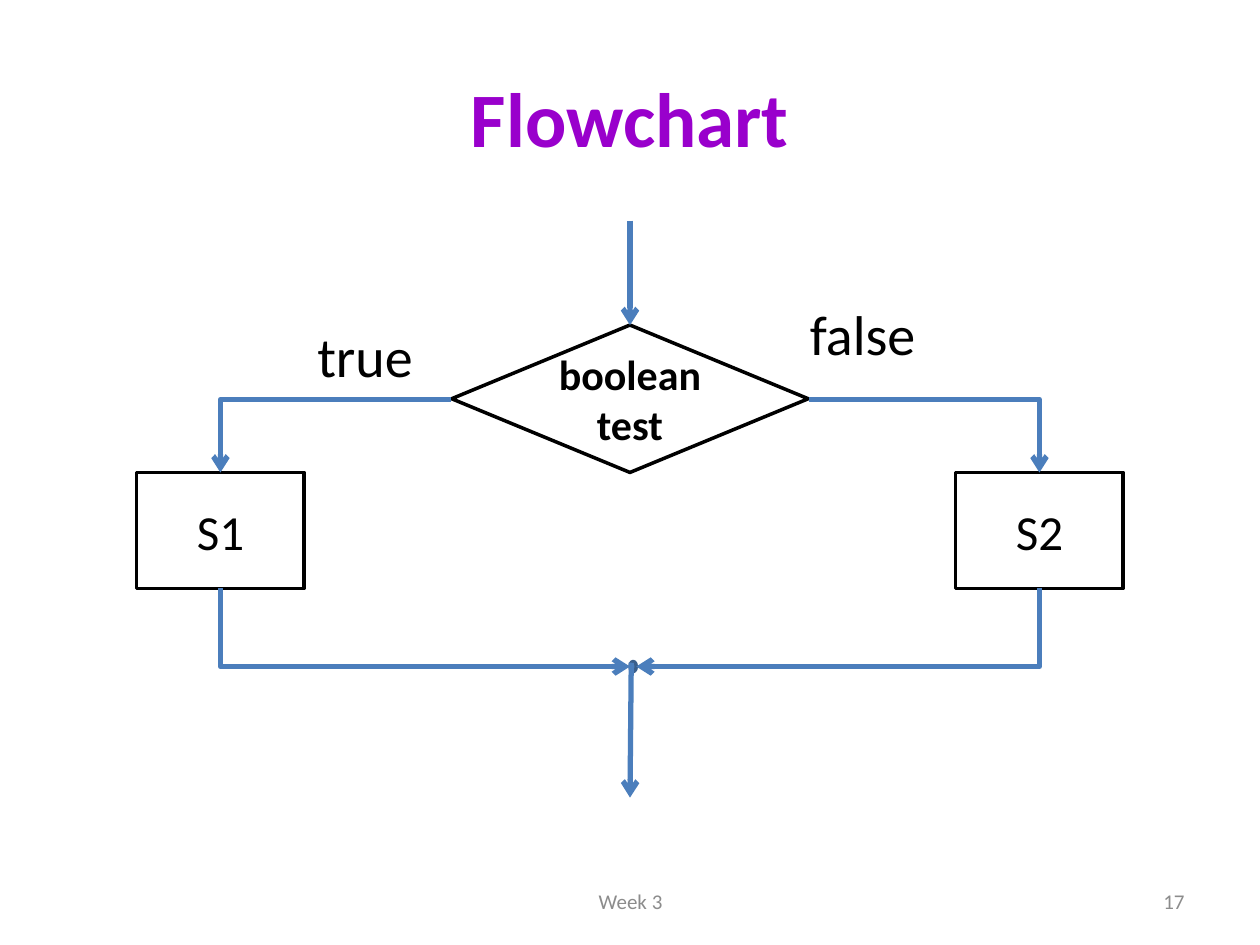
from pptx import Presentation
from pptx.dml.color import RGBColor
from pptx.enum.shapes import MSO_CONNECTOR, MSO_SHAPE
from pptx.enum.text import MSO_ANCHOR, PP_ALIGN
from pptx.oxml.ns import qn
from pptx.util import Inches, Pt
from lxml import etree

LEFT, CENTER, RIGHT = PP_ALIGN.LEFT, PP_ALIGN.CENTER, PP_ALIGN.RIGHT
TOP, MIDDLE = MSO_ANCHOR.TOP, MSO_ANCHOR.MIDDLE
STRAIGHT, ELBOW = MSO_CONNECTOR.STRAIGHT, MSO_CONNECTOR.ELBOW
TEST, STEP, DOT = (MSO_SHAPE.FLOWCHART_DECISION,
                   MSO_SHAPE.FLOWCHART_PROCESS, MSO_SHAPE.OVAL)

theme = {
    "font": "Calibri",
    "title": "9900CC", "ink": "000000", "paper": "FFFFFF", "gray": "8C8C8C",
    "flow": "4B7EBC", "dot": "4F81BD", "rim": "3A5F8C",
    "head": 44, "test": 24, "step": 28, "label": 32, "foot": 12,
}


def write(shape, text, size, color, align=CENTER, anchor=MIDDLE, bold=False):
    frame = shape.text_frame
    frame.text = text
    frame.word_wrap = True
    frame.vertical_anchor = anchor
    para = frame.paragraphs[0]
    para.alignment = align
    font = para.font
    font.name, font.size, font.bold = theme["font"], Pt(theme[size]), bold
    font.color.rgb = RGBColor.from_string(theme[color])


def link(kind, start, end, tip="tailEnd"):
    line = slide.shapes.add_connector(kind, *map(Inches, start + end))
    line.line.color.rgb = RGBColor.from_string(theme["flow"])
    line.line.width = Pt(3)
    props = line._element.spPr
    if kind == ELBOW:
        props.find(qn("a:prstGeom")).set("prst", "bentConnector2")
    etree.SubElement(props.find(qn("a:ln")), qn("a:" + tip), type="arrow")
    etree.SubElement(props, qn("a:effectLst"))


deck = Presentation()
deck.slide_width, deck.slide_height = Inches(10), Inches(7.5)
slide = deck.slides.add_slide(deck.slide_layouts[5])

# Title
title = slide.shapes.title
title.left, title.top, title.width, title.height = map(
    Inches, (0.5, 0.3, 9, 1.25))
write(title, "Flowchart", "head", "title", bold=True)

# Decision, steps and the point where the branches meet
mid, side = 5, 3.25
nodes = [
    (TEST, mid, 2.58, 2.83, 1.17, "boolean test", "test"),
    (STEP, mid - side, 3.75, 1.33, 0.92, "S1", "step"),
    (STEP, mid + side, 3.75, 1.33, 0.92, "S2", "step"),
    (DOT, mid + 0.025, 5.25, 0.05, 0.08, "", ""),
]
for kind, x, y, w, h, text, size in nodes:
    node = slide.shapes.add_shape(
        kind, *map(Inches, (x - w / 2, y, w, h)))
    node.shadow.inherit = False
    fill, edge = ("paper", "ink") if text else ("dot", "rim")
    node.fill.solid()
    node.fill.fore_color.rgb = RGBColor.from_string(theme[fill])
    node.line.color.rgb = RGBColor.from_string(theme[edge])
    node.line.width = Pt(2)
    if text:
        write(node, text, size, "ink", bold=kind == TEST)

# Arrows in, along both branches, and out
link(STRAIGHT, (mid, 1.75), (mid, 2.58))
for sign, meet in ((1, 5.05), (-1, 5)):
    x = mid + sign * side
    link(ELBOW, (mid + sign * 1.42, 3.17), (x, 3.75))
    link(ELBOW, (meet, 5.29), (x, 4.67), "headEnd")
link(STRAIGHT, (5.01, 5.26), (mid, 6.33))

# Branch labels and footer
notes = [
    ("true", 2.42, 2.5, 0.97, 0.64, "label", "ink", LEFT, TOP),
    ("false", 6.33, 2.33, 1.25, 0.64, "label", "ink", LEFT, TOP),
    ("17", 7.17, 6.95, 2.33, 0.4, "foot", "gray", RIGHT, MIDDLE),
    ("Week 3", 3.42, 6.95, 3.17, 0.4, "foot", "gray", CENTER, MIDDLE),
]
for text, x, y, w, h, size, color, align, anchor in notes:
    box = slide.shapes.add_textbox(*map(Inches, (x, y, w, h)))
    write(box, text, size, color, align, anchor)

deck.save("out.pptx")
